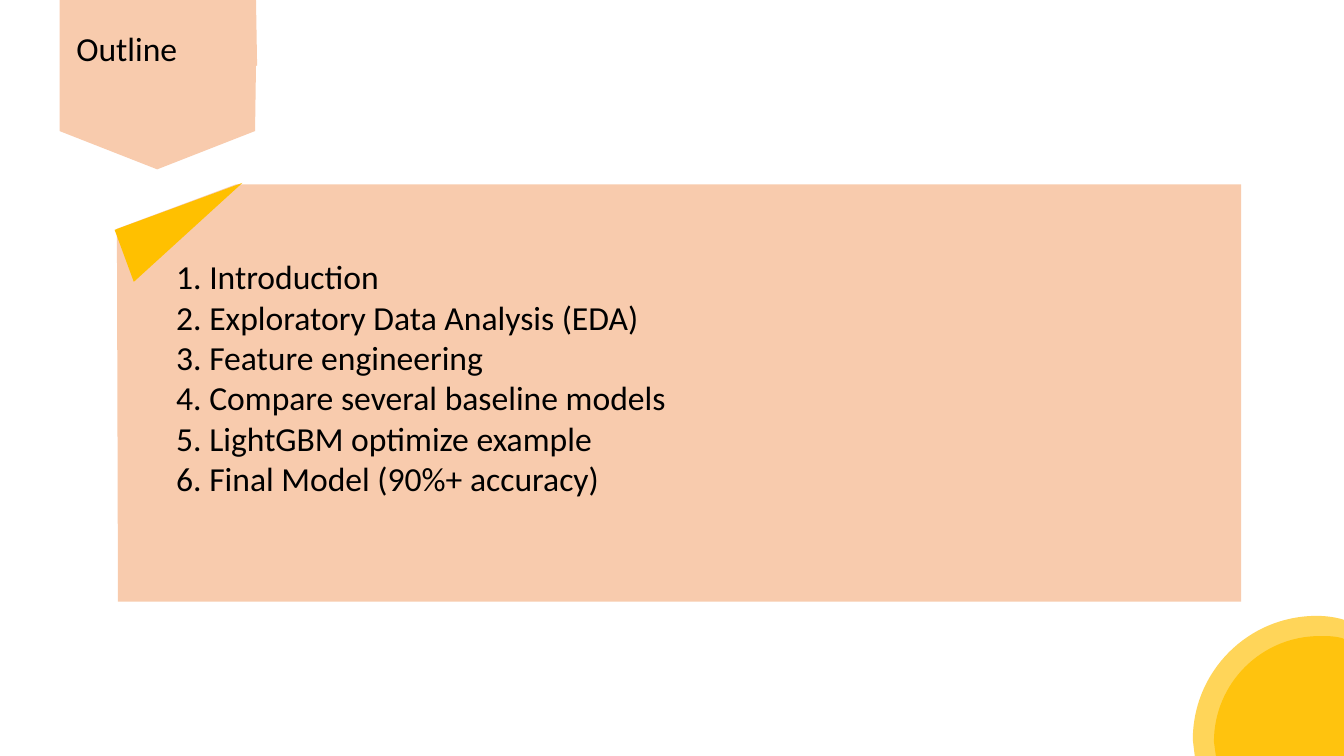
from lxml import etree
from pptx import Presentation
from pptx import util as u
from pptx.dml import color
from pptx.enum import shapes, text
from pptx.oxml import ns

PEACH, GOLD, BLACK = "F8CBAD", "FFC000", "000000"

deck = Presentation()
deck.slide_width, deck.slide_height = u.Inches(13.33), u.Inches(7.5)
slide = deck.slides.add_slide(deck.slide_layouts[1])

# One unit is a hundredth of the slide's width or height
col, row = deck.slide_width / 100, deck.slide_height / 100


def paint(fill, tone, alpha=100):
    fill.solid()
    fill.fore_color.rgb = color.RGBColor.from_string(tone)
    if alpha < 100:
        node = fill.fore_color._xFill[0]
        etree.SubElement(node, ns.qn("a:alpha"), val=str(alpha * 1000))


def write(holder, words, box, size=24, font="Calibri", tone=BLACK):
    left, top, width, height = box
    holder.left, holder.top = int(left * col), int(top * row)
    holder.width, holder.height = int(width * col), int(height * row)
    frame = holder.text_frame
    frame.text = words
    frame.word_wrap = True
    frame.auto_size = text.MSO_AUTO_SIZE.NONE
    frame.vertical_anchor = text.MSO_ANCHOR.TOP
    for para in frame.paragraphs:
        para.alignment = text.PP_ALIGN.LEFT
        para.space_before = para.space_after = u.Pt(0)
        para.line_spacing = 1.0
        for run in para.runs:
            run.font.size, run.font.name = u.Pt(size), font
            paint(run.font.fill, tone)
        props = para._p.get_or_add_pPr()
        props.set("marL", "0")
        props.set("indent", "0")
        etree.SubElement(props, ns.qn("a:buNone"))
    # Text stands in front of the shapes
    slide.shapes.element.append(holder.element)


# Ribbon: two equal tags, the lower one behind
tag = 8.67
forms = []
for drop, lower in ((tag, 18.98), (0, 19.13)):
    forms.append(([(4.43, drop), (19.05, drop), (lower, drop + tag),
                   (11.7, drop + 13.73), (4.43, drop + tag)], PEACH, 100, ()))

# Corner discs: straight edges, then two curves of three points each
curves = (2, 5)
small = [(100, 100), (90.47, 100), (90.32, 98.13),
         (90.32, 90.4), (93.85, 84.13), (98.2, 84.13),
         (98.8, 84.13), (99.32, 84.13), (99.85, 84.4), (100, 84.53)]
large = [(100, 100), (88.9, 100), (88.75, 97.87),
         (88.75, 88.8), (92.87, 81.47), (97.97, 81.47),
         (98.57, 81.47), (99.17, 81.6), (99.77, 81.87), (100, 82)]
forms += [(small, GOLD, 84, curves), (large, GOLD, 65, curves)]

# Panel with a cut corner
forms.append(([(8.7, 30.27), (17.55, 24.4), (92.35, 24.4),
               (92.35, 79.6), (8.78, 79.6)], PEACH, 100, ()))

# Draw the outlines
for points, tone, alpha, bends in forms:
    spots = [(round(x * col), round(y * row)) for x, y in points]
    pen = slide.shapes.build_freeform(*spots[0])
    pen.add_line_segments(spots[1:], close=True)
    form = pen.convert_to_shape()
    sides = list(form.element.iter(ns.qn("a:lnTo")))
    for first in bends:
        curve = etree.Element(ns.qn("a:cubicBezTo"))
        sides[first].addprevious(curve)
        for side in sides[first:first + 3]:
            curve.append(side[0])
            side.getparent().remove(side)
    paint(form.fill, tone, alpha)
    form.line.fill.background()
    form.shadow.inherit = False

# Folded corner
fold = slide.shapes.add_shape(
    shapes.MSO_SHAPE.ISOSCELES_TRIANGLE,
    int(8.93 * col), int(27.07 * row), int(10.13 * col), int(7.33 * row))
fold.adjustments[0] = 1
fold.rotation = 159.8
paint(fold.fill, GOLD)
fold.line.fill.background()
fold.shadow.inherit = False

# Title and list
topics = ["Introduction", "Exploratory Data Analysis (EDA)",
          "Feature engineering", "Compare several baseline models",
          "LightGBM optimize example", "Final Model (90%+ accuracy)"]
lines = [f"{n}. {topic}" for n, topic in enumerate(topics, 1)]
write(slide.shapes.title, "Outline", (4.93, 3, 14.63, 6.67))
write(slide.placeholders[1], "\n".join(lines), (12.36, 33.24, 79.07, 33.6))

deck.save("out.pptx")
